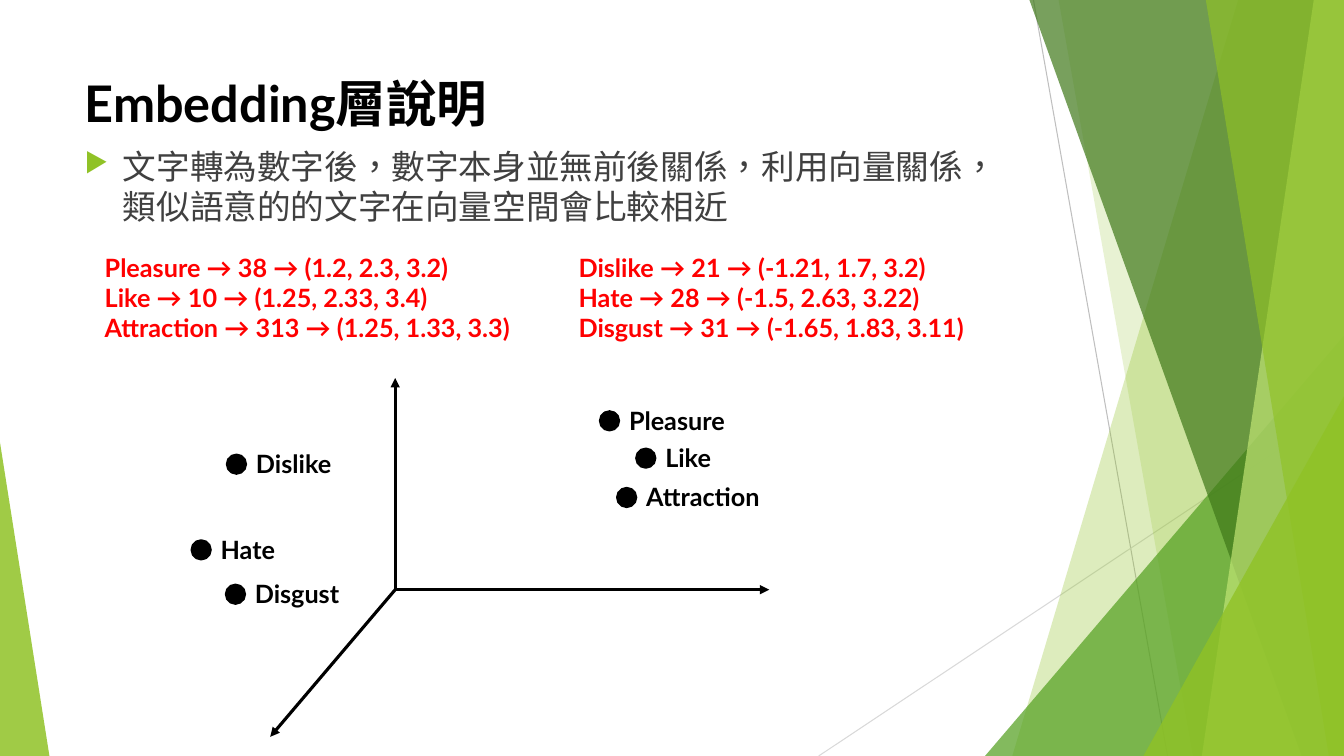
from dataclasses import dataclass

from lxml.etree import SubElement
from pptx import Presentation
from pptx.dml.color import RGBColor
from pptx.enum.shapes import MSO_CONNECTOR, MSO_SHAPE
from pptx.enum.text import MSO_ANCHOR, MSO_AUTO_SIZE, PP_ALIGN
from pptx.oxml.ns import qn
from pptx.util import Inches, Pt


@dataclass(frozen=True)
class Theme:
    """Colours, font and type sizes of the slide."""
    font: str = "Lato"
    black: str = "000000"
    body: str = "404040"
    red: str = "FF0000"
    lime: str = "90C226"
    green: str = "54A021"
    dark: str = "3F7819"
    pale: str = "C0E474"
    grey: str = "BFBFBF"
    light_grey: str = "D9D9D9"
    title_pt: int = 36
    body_pt: int = 24
    label_pt: int = 18


T = Theme()


def set_attrs(obj, **values):
    """Set each named attribute on obj."""
    for name, value in values.items():
        setattr(obj, name, value)


def write(tf, lines, size, color, bold=True, lang="en-US", **frame):
    """Write one left-aligned paragraph for each line."""
    set_attrs(tf, **{"word_wrap": True, **frame})
    for i, line in enumerate(lines):
        p = tf.paragraphs[0] if i == 0 else tf.add_paragraph()
        p.alignment = PP_ALIGN.LEFT
        r = p.add_run()
        r.text = line
        set_attrs(r.font, name=T.font, size=Pt(size), bold=bold)
        r.font.color.rgb = RGBColor.from_string(color)
        r._r.get_or_add_rPr().set("lang", lang)


def add_text(shapes, box, lines, size, color, **options):
    """Add a text box at box and return its frame."""
    tf = shapes.add_textbox(*map(Inches, box)).text_frame
    write(tf, lines, size, color, **options)
    return tf


def paint(sp, color, alpha=100):
    """Give a shape a flat fill, without line or shadow."""
    sp.shadow.inherit = False
    sp.fill.solid()
    sp.fill.fore_color.rgb = RGBColor.from_string(color)
    sp.line.fill.background()
    if alpha < 100:
        clr = sp.element.spPr.find(qn("a:solidFill"))[0]
        SubElement(clr, qn("a:alpha")).set("val", str(alpha * 1000))


def add_line(shapes, start, end, color, width, arrow=False):
    """Add a straight line, with an arrowhead at its end if asked."""
    cx = shapes.add_connector(MSO_CONNECTOR.STRAIGHT, *map(Inches, (*start, *end)))
    cx.line.color.rgb = RGBColor.from_string(color)
    cx.line.width = Pt(width)
    if arrow:
        SubElement(cx.line._get_or_add_ln(), qn("a:tailEnd")).set("type", "triangle")
    SubElement(cx.element.spPr, qn("a:effectLst"))


def add_facets(slide, box):
    """Draw the translucent facets that fill the slide edges."""
    left, top, width, height = box
    right, bottom = left + width, top + height
    shapes = slide.shapes.add_group_shape().shapes

    def band(x_top, x_bottom, color, alpha):
        """Fill from a slanted edge to the right side."""
        pts = [(x_top, top), (right, top), (right, bottom), (x_bottom, bottom)]
        pts = [(Inches(x), Inches(y)) for x, y in pts]
        fb = shapes.build_freeform(*pts[0], scale=1.0)
        fb.add_line_segments(pts[1:], close=True)
        paint(fb.convert_to_shape(), color, alpha)

    def corner(x, w, h, apex, color, alpha):
        """Stand a right-angled triangle on the bottom edge."""
        sp = shapes.add_shape(MSO_SHAPE.ISOSCELES_TRIANGLE,
                              *map(Inches, (x, bottom - h, w, h)))
        sp.adjustments[0] = apex
        paint(sp, color, alpha)

    add_line(shapes, (left + 10.25, top), (left + 11.58, bottom), T.grey, 0.75)
    add_line(shapes, (right, top + 4.03), (left + 8.12, bottom), T.light_grey, 0.75)
    band(left + 12.28, left + 10.04, T.lime, 30)
    band(left + 10.5, left + 11.83, T.lime, 20)
    corner(right - 3.56, 3.56, 4.17, 1, T.green, 72)
    band(left + 10.21, left + 12.91, T.dark, 70)
    band(left + 13.03, left + 11.92, T.pale, 70)
    band(left + 11.96, left + 13.18, T.lime, 65)
    corner(right - 1.99, 1.99, 3.57, 1, T.lime, 80)
    corner(left, 0.49, 3.11, 0, T.lime, 85)


def add_title(slide, box, text):
    """Place the title placeholder in front of the facets."""
    title = slide.shapes.title
    set_attrs(title, **dict(zip(("left", "top", "width", "height"), map(Inches, box))))
    write(title.text_frame, [text], T.title_pt, T.black, lang="zh-TW",
          vertical_anchor=MSO_ANCHOR.TOP, auto_size=MSO_AUTO_SIZE.NONE)
    title.element.getparent().append(title.element)


def add_body(slide, box, text):
    """Add the bulleted explanation."""
    tf = add_text(slide.shapes, box, [text], T.body_pt, T.body, bold=False, lang="zh-TW")
    p = tf.paragraphs[0]
    p.space_before = Pt(10)
    pPr = p._p.get_or_add_pPr()
    indent = Inches(0.38)
    pPr.set("marL", str(indent))
    pPr.set("indent", str(-indent))
    clr = SubElement(pPr, qn("a:buClr"))
    SubElement(clr, qn("a:srgbClr")).set("val", T.lime)
    SubElement(pPr, qn("a:buSzPct")).set("val", "80000")
    SubElement(pPr, qn("a:buChar")).set("char", "▶")


def add_vectors(slide, box, columns):
    """List each word with its number and vector, in equal columns."""
    left, top, width, height = box
    gap = 0.21
    col = (width - gap * (len(columns) - 1)) / len(columns)
    for i, rows in enumerate(columns):
        lines = [" → ".join(row) for row in rows]
        add_text(slide.shapes, (left + i * (col + gap), top, col, height), lines,
                 T.label_pt, T.red, auto_size=MSO_AUTO_SIZE.SHAPE_TO_FIT_TEXT)


def add_space(slide, box, words):
    """Draw three axes and the labelled words around them."""
    left, top, width, height = box
    origin = (left + 2.02, top + 2.1)
    axes = slide.shapes.add_group_shape().shapes
    tips = [(origin[0], top), (left + width, origin[1]), (left + 0.78, top + height)]
    for tip in tips:
        add_line(axes, origin, tip, T.black, 2.25, arrow=True)

    dot = 0.19
    for word, x, y, label_width in words:
        x, y = left + x, top + y
        sp = slide.shapes.add_shape(MSO_SHAPE.OVAL, *map(Inches, (x, y, dot, dot)))
        paint(sp, T.black)
        sp.line.color.rgb = RGBColor.from_string(T.black)
        sp.line.width = Pt(1.5)
        add_text(slide.shapes, (x + dot, y - 0.11, label_width, 0.4), [word],
                 T.label_pt, T.black, word_wrap=False,
                 auto_size=MSO_AUTO_SIZE.SHAPE_TO_FIT_TEXT)


VECTORS = [
    [("Pleasure", "38", "(1.2, 2.3, 3.2)"),
     ("Like", "10", "(1.25, 2.33, 3.4)"),
     ("Attraction", "313", "(1.25, 1.33, 3.3)")],
    [("Dislike", "21", "(-1.21, 1.7, 3.2)"),
     ("Hate", "28", "(-1.5, 2.63, 3.22)"),
     ("Disgust", "31", "(-1.65, 1.83, 3.11)")],
]
# Word, dot left and top within the space, label width
WORDS = [
    ("Pleasure", 4.05, 0.33, 1.22),
    ("Like", 4.41, 0.7, 0.7),
    ("Attraction", 4.22, 1.09, 1.39),
    ("Dislike", 0.35, 0.76, 0.98),
    ("Hate", 0, 1.61, 0.75),
    ("Disgust", 0.34, 2.05, 1.1),
]

prs = Presentation()
set_attrs(prs, slide_width=Inches(13.33), slide_height=Inches(7.5))
slide = prs.slides.add_slide(prs.slide_layouts[5])
add_facets(slide, (0, 0, 13.33, 7.5))
add_title(slide, (0.74, 0.67, 9.4, 0.74), "Embedding層說明")
add_body(slide, (0.74, 1.4, 9.4, 6.1),
         "文字轉為數字後，數字本身並無前後關係，利用向量關係，"
         "類似語意的的文字在向量空間會比較相近")
add_vectors(slide, (0.94, 2.45, 9.19, 1.01), VECTORS)
add_space(slide, (1.9, 3.75, 5.73, 3.56), WORDS)
prs.save("out.pptx")
